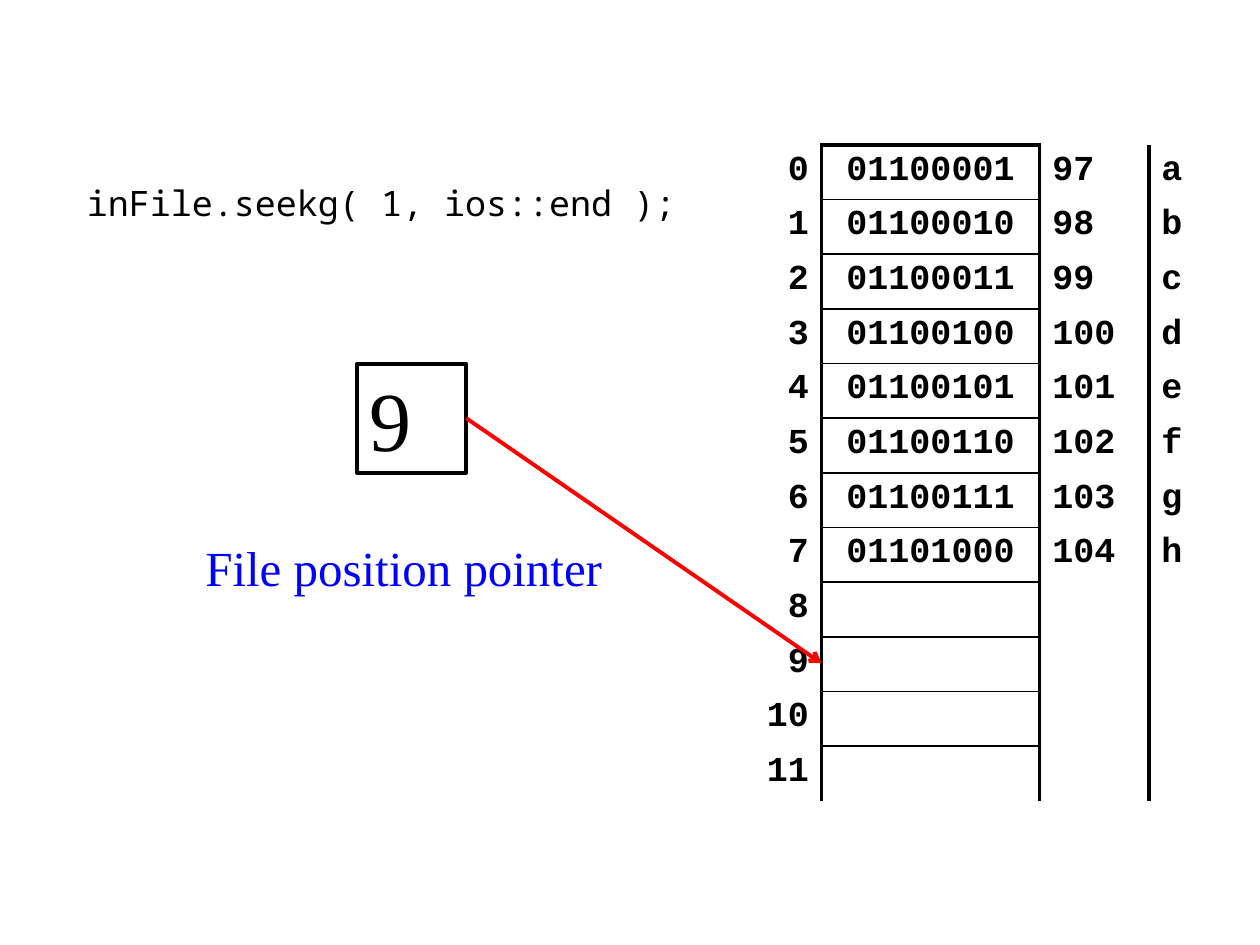
from lxml.etree import SubElement
from pptx import Presentation
from pptx.dml.color import RGBColor
from pptx.enum.shapes import MSO_CONNECTOR, MSO_SHAPE
from pptx.enum.text import MSO_ANCHOR, PP_ALIGN
from pptx.oxml.ns import qn
from pptx.util import Cm, Pt

COLORS = {"ink": "000000", "label": "0000FF", "arrow": "FF0000"}
HEAVY, THIN = Pt(2.25), Pt(1)
COLUMN_WIDTHS = [1.65, 4.4, 2.2, 1.1]
COLUMN_ALIGNMENTS = [PP_ALIGN.RIGHT, PP_ALIGN.CENTER, PP_ALIGN.LEFT, PP_ALIGN.LEFT]
ROW_COUNT, ROW_HEIGHT = 12, 1.1
STORED_TEXT = "abcdefgh"
POSITION = 9
PLAIN_TABLE_STYLE = "{2D5ABB26-0587-4C30-8999-92F81FD0307C}"
CODE = {"name": "Noto Sans Mono", "size": Pt(20)}
LABEL = {"name": "Times New Roman", "size": Pt(28)}
NUMBER = {"name": "Times New Roman", "size": Pt(48)}
BYTE = {"name": "Courier New", "size": Pt(20), "bold": True}


def write_text(text_frame, text, font_format, color="ink", alignment=PP_ALIGN.LEFT):
    """Write one formatted paragraph into a text frame."""
    paragraph = text_frame.paragraphs[0]
    paragraph.text = text
    paragraph.alignment = alignment
    for attribute, value in font_format.items():
        setattr(paragraph.font, attribute, value)
    paragraph.font.color.rgb = RGBColor.from_string(COLORS[color])


def add_caption(slide, left, top, width, height, text, font_format, color="ink"):
    """Add a wrapping text box in the given box."""
    text_box = slide.shapes.add_textbox(Cm(left), Cm(top), Cm(width), Cm(height))
    text_box.text_frame.word_wrap = True
    write_text(text_box.text_frame, text, font_format, color)


def set_borders(cell, borders):
    """Draw the cell borders given as a dict of tag to width."""
    properties = cell._tc.get_or_add_tcPr()
    for tag, width in borders.items():
        line = SubElement(properties, qn(f"a:{tag}"), w=str(int(width)))
        fill = SubElement(line, qn("a:solidFill"))
        SubElement(fill, qn("a:srgbClr"), val=COLORS["ink"])


def byte_borders(row_index):
    """Return the borders of the byte cell in the given row."""
    borders = {"lnL": HEAVY, "lnR": HEAVY, "lnT": THIN if row_index else HEAVY}
    if row_index < ROW_COUNT - 1:
        borders["lnB"] = THIN
    return borders


def add_memory_table(slide, left, top):
    """Add the table of file bytes with its addresses and characters."""
    frame = slide.shapes.add_table(
        ROW_COUNT, len(COLUMN_WIDTHS), Cm(left), Cm(top),
        Cm(sum(COLUMN_WIDTHS)), Cm(ROW_COUNT * ROW_HEIGHT))
    table = frame.table
    table.first_row = table.horz_banding = False
    for style in frame.element.iter(qn("a:tableStyleId")):
        style.text = PLAIN_TABLE_STYLE
    for column, width in zip(table.columns, COLUMN_WIDTHS):
        column.width = Cm(width)
    for row_index, row in enumerate(table.rows):
        row.height = Cm(ROW_HEIGHT)
        values = [str(row_index), "", "", ""]
        if row_index < len(STORED_TEXT):
            character = STORED_TEXT[row_index]
            values[1:] = [f"{ord(character):08b}", str(ord(character)), character]
        borders = [{"lnR": HEAVY}, byte_borders(row_index), {"lnL": HEAVY}, {}]
        for cell, value, edges, alignment in zip(
                row.cells, values, borders, COLUMN_ALIGNMENTS):
            write_text(cell.text_frame, value, BYTE, alignment=alignment)
            set_borders(cell, edges)
            cell.fill.background()


def add_position_box(slide, left, top, size):
    """Add the square that holds the file position and return it."""
    box = slide.shapes.add_shape(
        MSO_SHAPE.RECTANGLE, Cm(left), Cm(top), Cm(size), Cm(size))
    box.shadow.inherit = False
    box.fill.background()
    box.line.color.rgb = RGBColor.from_string(COLORS["ink"])
    box.line.width = HEAVY
    box.text_frame.vertical_anchor = MSO_ANCHOR.MIDDLE
    write_text(box.text_frame, str(POSITION), NUMBER)
    return box


def add_pointer(slide, box, table_left, table_top):
    """Join the position box to the byte cell it points at."""
    end_x = Cm(table_left + COLUMN_WIDTHS[0])
    end_y = Cm(table_top + (POSITION + 0.5) * ROW_HEIGHT)
    pointer = slide.shapes.add_connector(
        MSO_CONNECTOR.STRAIGHT, box.left + box.width,
        box.top + box.height // 2, end_x, end_y)
    pointer.begin_connect(box, 3)
    pointer.line.color.rgb = RGBColor.from_string(COLORS["arrow"])
    pointer.line.width = HEAVY
    SubElement(pointer.line._get_or_add_ln(), qn("a:tailEnd"), type="arrow")
    SubElement(pointer.element.spPr, qn("a:effectLst"))


def build_seek_slide(presentation):
    """Build the slide on seeking past the end of a file."""
    slide = presentation.slides.add_slide(presentation.slide_layouts[6])
    table_left, table_top = 14.91, 2.92
    add_caption(slide, 1.5, 3.53, 13.2, 1.2, "inFile.seekg( 1, ios::end );", CODE)
    add_caption(slide, 3.89, 10.72, 8.8, 1.6, "File position pointer", LABEL, "label")
    add_memory_table(slide, table_left, table_top)
    box = add_position_box(slide, 7.2, 7.33, 2.2)
    add_pointer(slide, box, table_left, table_top)


def main():
    """Create and save the presentation."""
    presentation = Presentation()
    presentation.slide_width, presentation.slide_height = Cm(25.4), Cm(19.05)
    build_seek_slide(presentation)
    presentation.save("out.pptx")


if __name__ == "__main__":
    main()
